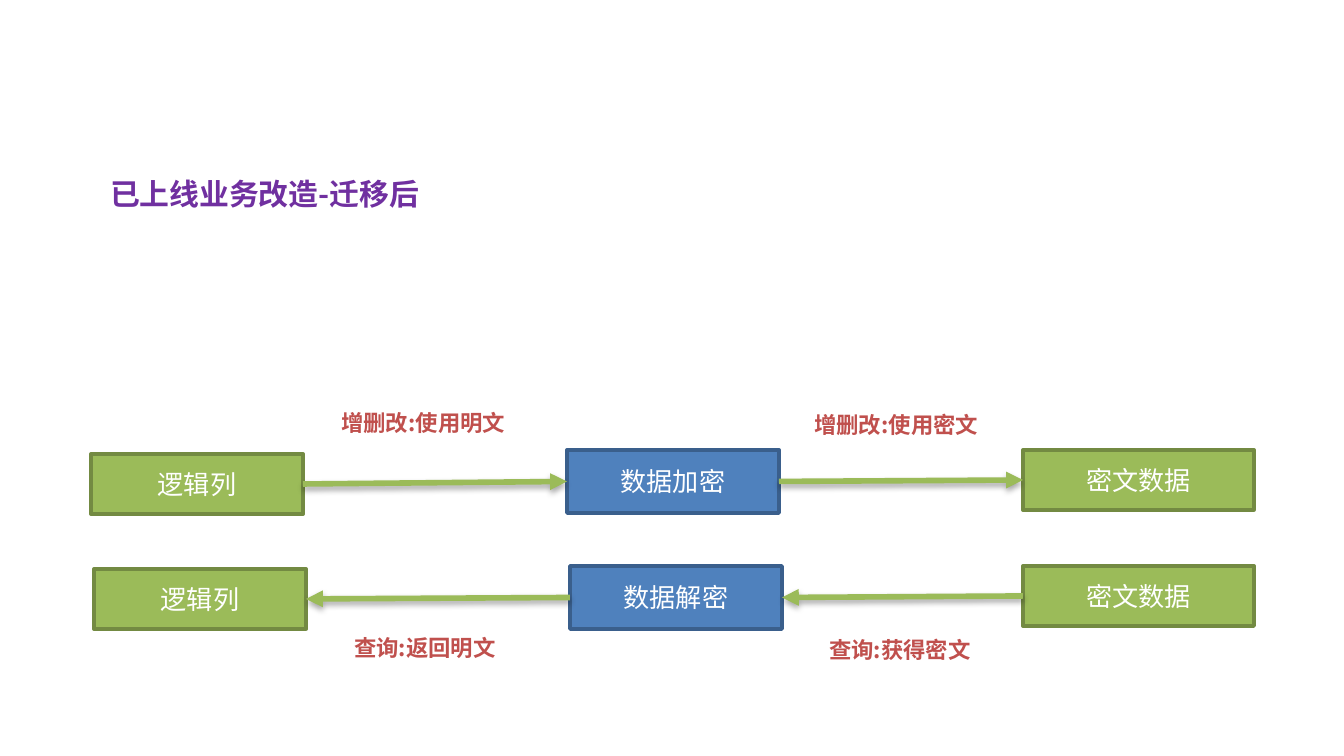
import pptx
import pptx.dml.color
import pptx.enum.shapes
import pptx.enum.text
import pptx.oxml
import pptx.oxml.ns
import pptx.util
from dataclasses import dataclass

PX = 914400 / 134.4


@dataclass(frozen=True)
class Theme:
    title: str = "7030A0"
    label: str = "C0504D"
    box_text: str = "FFFFFF"
    green: tuple = ("9BBB59", "738A42")
    blue: tuple = ("4F81BD", "3A5F8C")
    arrow: str = "9BBB59"
    heading_font: str = "Noto Sans CJK SC"
    box_font: str = "League Spartan"
    title_size: int = 16
    box_size: int = 14
    label_size: int = 12
    border: int = 2
    arrow_width: int = 3


def emu(*lengths):
    return [round(n * PX) for n in lengths]


def rgb(value):
    return pptx.dml.color.RGBColor.from_string(value)


def write(tf, text, *, font, size, color, bold=False, align=None):
    p = tf.paragraphs[0]
    p.alignment = align
    r = p.add_run()
    r.text = text
    r.font.name = font
    r.font.size = pptx.util.Pt(size)
    r.font.bold = bold
    r.font.color.rgb = rgb(color)
    ea = pptx.oxml.parse_xml(
        f'<a:ea {pptx.oxml.ns.nsdecls("a")} typeface="{font}"/>')
    r.font._element.append(ea)


class Builder:
    def __init__(self, s, theme):
        self.s = s
        self.theme = theme

    def text(self, x, y, w, h, text, size, color):
        tf = self.s.shapes.add_textbox(*emu(x, y, w, h)).text_frame
        tf.word_wrap = True
        tf.auto_size = pptx.enum.text.MSO_AUTO_SIZE.SHAPE_TO_FIT_TEXT
        write(tf, text, font=self.theme.heading_font, size=size, color=color,
              bold=True)

    def label(self, x, y, w, text):
        self.text(x, y, w, 40, text, self.theme.label_size, self.theme.label)

    def box(self, x, y, w, h, text, colors):
        fill, border = colors
        sp = self.s.shapes.add_shape(
            pptx.enum.shapes.MSO_SHAPE.RECTANGLE, *emu(x, y, w, h))
        sp.shadow.inherit = False
        sp.fill.solid()
        sp.fill.fore_color.rgb = rgb(fill)
        sp.line.color.rgb = rgb(border)
        sp.line.width = pptx.util.Pt(self.theme.border)
        tf = sp.text_frame
        tf.vertical_anchor = pptx.enum.text.MSO_ANCHOR.MIDDLE
        write(tf, text, font=self.theme.box_font, size=self.theme.box_size,
              color=self.theme.box_text,
              align=pptx.enum.text.PP_ALIGN.CENTER)
        return sp

    def arrow(self, left, right, end):
        c = self.s.shapes.add_connector(
            pptx.enum.shapes.MSO_CONNECTOR.STRAIGHT, 0, 0, 0, 0)
        c.begin_connect(left, 3)
        c.end_connect(right, 1)
        c.line.color.rgb = rgb(self.theme.arrow)
        c.line.width = pptx.util.Pt(self.theme.arrow_width)
        ns = pptx.oxml.ns.nsdecls("a")
        c.line._get_or_add_ln().append(
            pptx.oxml.parse_xml(f'<a:{end} {ns} type="triangle"/>'))
        c._element.spPr.append(pptx.oxml.parse_xml(
            f'<a:effectLst {ns}><a:outerShdw blurRad="40000" dist="23000" '
            'dir="5400000" rotWithShape="0"><a:srgbClr val="000000">'
            '<a:alpha val="35000"/></a:srgbClr></a:outerShdw></a:effectLst>'))


def main():
    prs = pptx.Presentation()
    prs.slide_width, prs.slide_height = emu(1344, 756)
    theme = Theme()
    b = Builder(prs.slides.add_slide(prs.slide_layouts[6]), theme)

    b.text(97, 169, 341, 50, "已上线业务改造-迁移后", theme.title_size, theme.title)

    flows = [
        ((91, 454), (567, 450), (1023, 450), "数据加密", "tailEnd"),
        ((94, 569), (570, 566), (1023, 566), "数据解密", "headEnd"),
    ]
    for logic_at, convert_at, cipher_at, name, end in flows:
        logic = b.box(*logic_at, 212, 60, "逻辑列", theme.green)
        convert = b.box(*convert_at, 212, 63, name, theme.blue)
        cipher = b.box(*cipher_at, 231, 60, "密文数据", theme.green)
        b.arrow(logic, convert, end)
        b.arrow(convert, cipher, end)

    b.label(328, 403, 192, "增删改:使用明文")
    b.label(801, 405, 192, "增删改:使用密文")
    b.label(341, 628, 169, "查询:返回明文")
    b.label(816, 630, 169, "查询:获得密文")

    prs.save("out.pptx")


if __name__ == "__main__":
    main()
